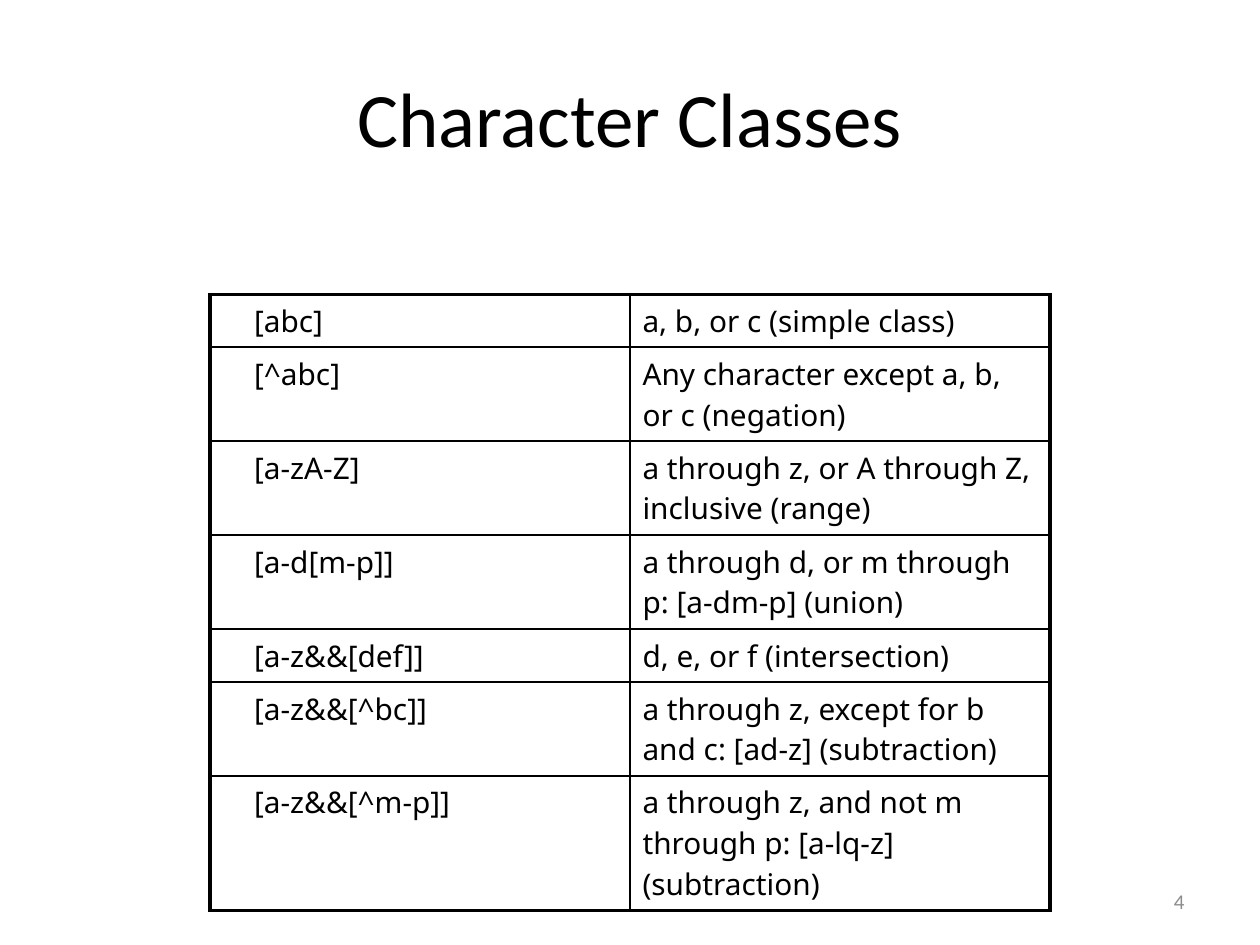
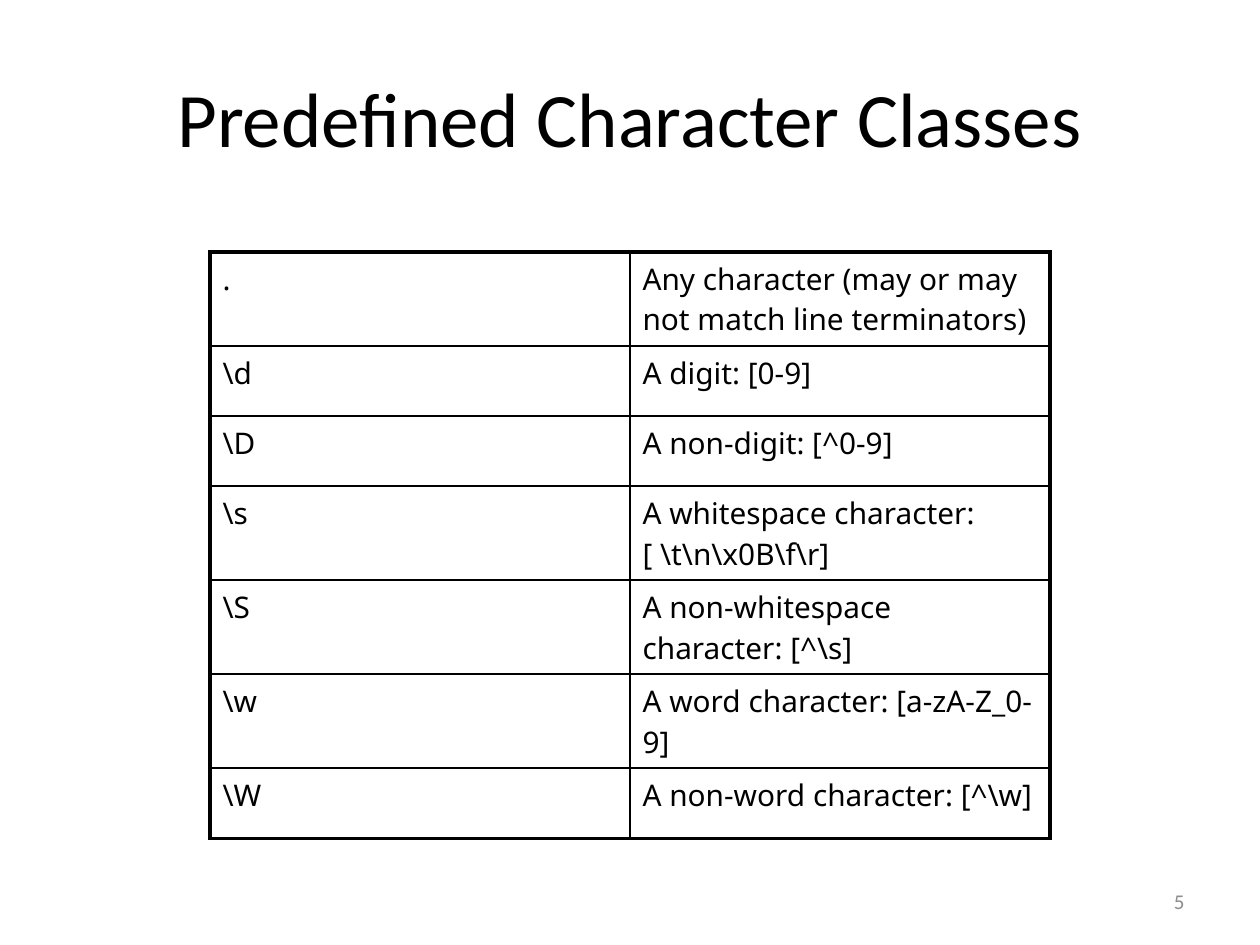
import lxml.etree
import pptx
import pptx.dml.color
import pptx.enum.text
import pptx.oxml.ns
import pptx.util

BLACK = pptx.dml.color.RGBColor(0x00, 0x00, 0x00)
GRAY = pptx.dml.color.RGBColor(0x8C, 0x8C, 0x8C)
HEADING_FONT = "Calibri"
TABLE_FONT = "Noto Sans"
THICK = 2.25
THIN = 1

SLIDE_WIDTH = 10
SLIDE_HEIGHT = 7.5
TITLE_BOX = (0.05, 0.04, 0.9, 1 / 6)
NUMBER_BOX = (0.717, 0.927, 0.233, 0.053)
TABLE_LEFT = 1 / 6
TABLE_WIDTH = 2 / 3
CELL_MARGIN = 0.1
ONE_LINE, TWO_LINES, THREE_LINES = 0.42, 0.746, 1.07
TALL_LINE = 0.557

CHARACTER_CLASSES = [
    ("[abc]", ["a, b, or c (simple class)"], ONE_LINE),
    ("[^abc]", ["Any character except a, b, or c (negation)"], TWO_LINES),
    ("[a-zA-Z]", ["a through z, or A through Z, inclusive (range)"], TWO_LINES),
    ("[a-d[m-p]]", ["a through d, or m through p: [a-dm-p] (union)"], TWO_LINES),
    ("[a-z&&[def]]", ["d, e, or f (intersection)"], ONE_LINE),
    ("[a-z&&[^bc]]", ["a through z, except for b and c: [ad-z] (subtraction)"], TWO_LINES),
    ("[a-z&&[^m-p]]", ["a through z, and not m through p: [a-lq-z] (subtraction)"],
     THREE_LINES),
]
PREDEFINED_CLASSES = [
    (".", ["Any character (may or may not match line terminators)"], TWO_LINES),
    (r"\d", ["A digit: [0-9]"], TALL_LINE),
    (r"\D", ["A non-digit: [^0-9]"], TALL_LINE),
    (r"\s", ["A whitespace character:", r"[ \t\n\x0B\f\r]"], TWO_LINES),
    (r"\S", [r"A non-whitespace character: [^\s]"], TWO_LINES),
    (r"\w", ["A word character: [a-zA-Z_0-9]"], TWO_LINES),
    (r"\W", [r"A non-word character: [^\w]"], TALL_LINE),
]


def to_lengths(box):
    """Turn shares of the slide into left, top, width and height."""
    sides = (SLIDE_WIDTH, SLIDE_HEIGHT) * 2
    return [pptx.util.Inches(share * side) for share, side in zip(box, sides)]


def write_lines(paragraph, lines, font_name, size, color):
    """Add each line as a run, with line breaks between them."""
    for index, line in enumerate(lines):
        if index:
            paragraph.add_line_break()
        run = paragraph.add_run()
        run.text = line
        run.font.name = font_name
        run.font.size = pptx.util.Pt(size)
        run.font.color.rgb = color


def add_label(slide, box, text, size, color, alignment):
    """Place one line of heading text, centred vertically in its box."""
    frame = slide.shapes.add_textbox(*to_lengths(box)).text_frame
    frame.word_wrap = True
    frame.vertical_anchor = pptx.enum.text.MSO_ANCHOR.MIDDLE
    paragraph = frame.paragraphs[0]
    paragraph.alignment = alignment
    write_lines(paragraph, [text], HEADING_FONT, size, color)


def set_borders(cell, widths):
    """Draw the left, right, top and bottom borders of a cell."""
    properties = cell._tc.get_or_add_tcPr()
    for side, width in zip("LRTB", widths):
        line = lxml.etree.SubElement(
            properties, pptx.oxml.ns.qn(f"a:ln{side}"), w=str(pptx.util.Pt(width)))
        fill = lxml.etree.SubElement(line, pptx.oxml.ns.qn("a:solidFill"))
        lxml.etree.SubElement(fill, pptx.oxml.ns.qn("a:srgbClr"), val=str(BLACK))


def add_class_table(slide, box, entries, indent):
    """Place a two-column table of patterns and their meanings."""
    table = slide.shapes.add_table(len(entries), 2, *to_lengths(box)).table
    table.first_row = False
    table.horz_banding = False
    last = len(entries) - 1
    for row, (pattern, meaning, height) in enumerate(entries):
        table.rows[row].height = pptx.util.Inches(height)
        for column, lines in enumerate(([pattern], meaning)):
            cell = table.cell(row, column)
            set_borders(cell, (
                THIN if column else THICK,
                THICK if column else THIN,
                THIN if row else THICK,
                THICK if row == last else THIN,
            ))
            cell.fill.background()
            cell.margin_left = pptx.util.Inches(CELL_MARGIN + (0 if column else indent))
            write_lines(cell.text_frame.paragraphs[0], lines, TABLE_FONT, 17, BLACK)


def add_class_slide(presentation, title, number, top, entries, indent=0):
    """Build a slide with a title, a class table and a slide number."""
    slide = presentation.slides.add_slide(presentation.slide_layouts[6])
    alignments = pptx.enum.text.PP_ALIGN
    add_label(slide, NUMBER_BOX, str(number), 12, GRAY, alignments.RIGHT)
    add_label(slide, TITLE_BOX, title, 44, BLACK, alignments.CENTER)
    table_height = sum(height for _, _, height in entries)
    box = (TABLE_LEFT, top / SLIDE_HEIGHT, TABLE_WIDTH, table_height / SLIDE_HEIGHT)
    add_class_table(slide, box, entries, indent)


presentation = pptx.Presentation()
presentation.slide_width = pptx.util.Inches(SLIDE_WIDTH)
presentation.slide_height = pptx.util.Inches(SLIDE_HEIGHT)
add_class_slide(presentation, "Character Classes", 4, 2.335, CHARACTER_CLASSES, indent=0.25)
add_class_slide(presentation, "Predefined Character Classes", 5, 2, PREDEFINED_CLASSES)
presentation.save("out.pptx")
